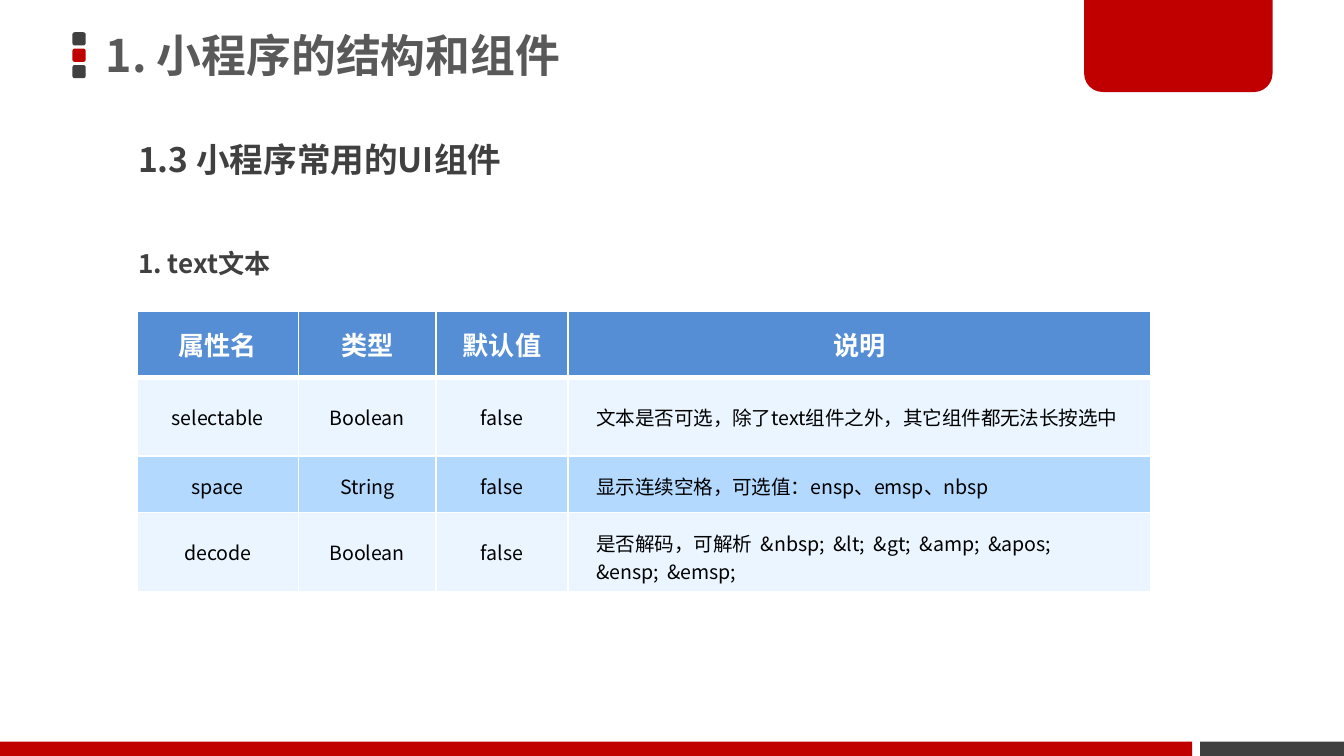
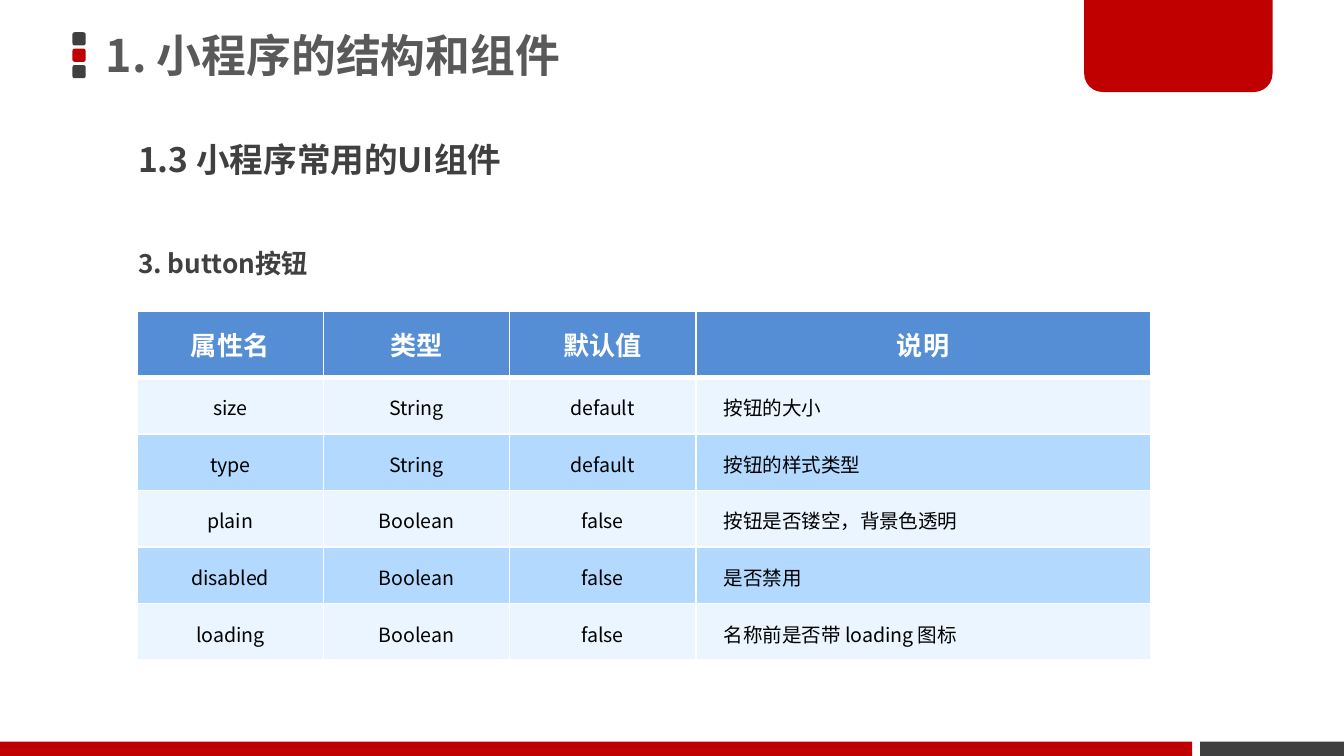
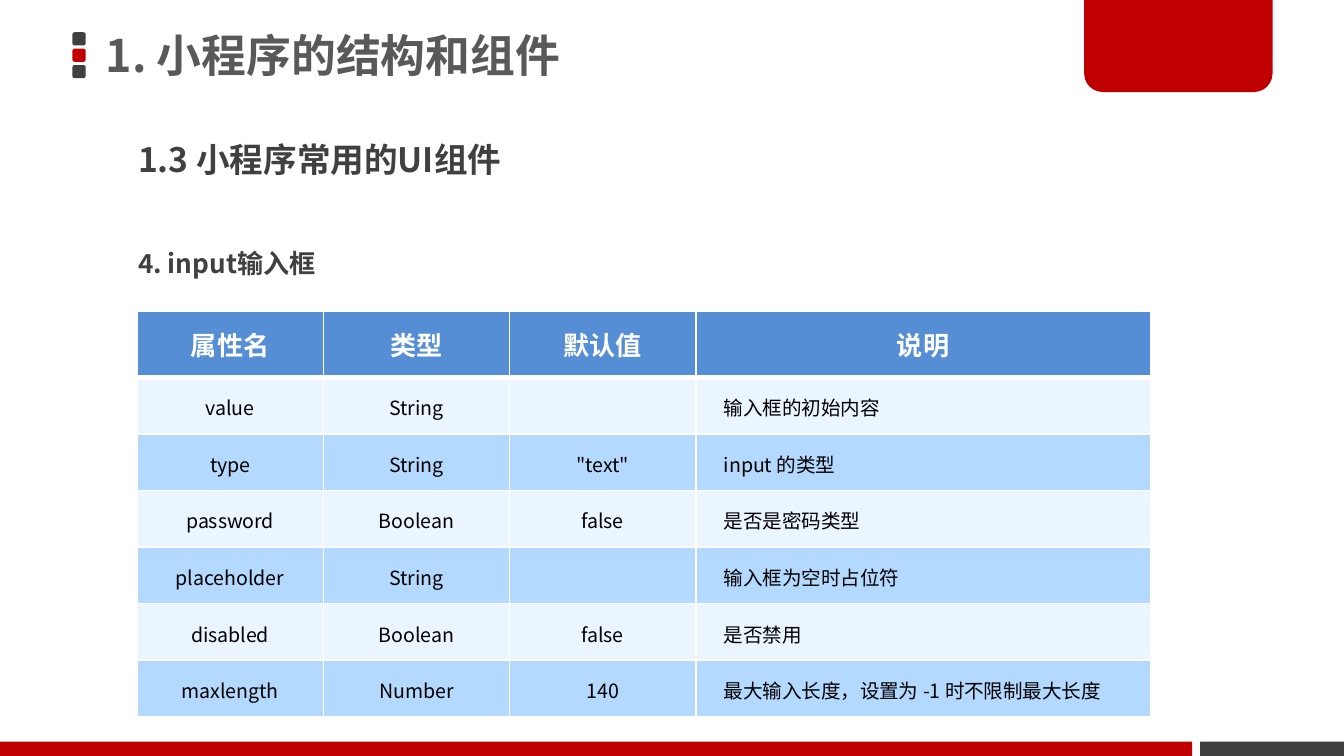
"""Build three slides of attribute tables for common mini-program UI components."""
from lxml import etree
from pptx import Presentation
from pptx import util as u
from pptx.dml.color import RGBColor
from pptx.enum import shapes, text
from pptx.oxml.ns import qn

FONT = "Noto Sans CJK SC"
RED, DARK, TITLE_GREY, WHITE, BLACK = "C00000", "404040", "595959", "FFFFFF", "000000"
HEADER_BLUE, PALE_BLUE, BAND_BLUE = "558ED5", "EBF5FF", "B3D9FF"

TITLE = "1. 小程序的结构和组件"
SECTION = "1.3 小程序常用的UI组件"
HEADERS = ["属性名", "类型", "默认值", "说明"]
EVEN_COLUMNS = [3.52, 3.52, 3.52, 8.59]

COMPONENTS = [
    ("1. text文本", [3.05, 2.6, 2.5, 11], [
        ["selectable", "Boolean", "false", "文本是否可选，除了text组件之外，其它组件都无法长按选中"],
        ["space", "String", "false", "显示连续空格，可选值：ensp、emsp、nbsp"],
        ["decode", "Boolean", "false",
         "是否解码，可解析  &nbsp;  &lt;  &gt;  &amp;  &apos;  &ensp;  &emsp;"],
    ]),
    ("3. button按钮", EVEN_COLUMNS, [
        ["size", "String", "default", "按钮的大小"],
        ["type", "String", "default", "按钮的样式类型"],
        ["plain", "Boolean", "false", "按钮是否镂空，背景色透明"],
        ["disabled", "Boolean", "false", "是否禁用"],
        ["loading", "Boolean", "false", "名称前是否带 loading 图标"],
    ]),
    ("4. input输入框", EVEN_COLUMNS, [
        ["value", "String", "", "输入框的初始内容"],
        ["type", "String", '"text"', "input 的类型"],
        ["password", "Boolean", "false", "是否是密码类型"],
        ["placeholder", "String", "", "输入框为空时占位符"],
        ["disabled", "Boolean", "false", "是否禁用"],
        ["maxlength", "Number", "140", "最大输入长度，设置为 -1 时不限制最大长度"],
    ]),
]

SHAPE = shapes.MSO_SHAPE
DECORATIONS = [
    (SHAPE.ROUNDED_RECTANGLE, 1.37, 0.61, 0.25, 0.25, DARK, [0.17]),
    (SHAPE.ROUNDED_RECTANGLE, 1.37, 0.92, 0.25, 0.25, RED, [0.17]),
    (SHAPE.ROUNDED_RECTANGLE, 1.37, 1.23, 0.25, 0.25, DARK, [0.17]),
    (SHAPE.RECTANGLE, 22.68, 14.02, 2.72, 0.27, DARK, []),
    (SHAPE.ROUND_2_SAME_RECTANGLE, 20.49, 0, 3.56, 1.74, RED, [0, 0.2]),
    (SHAPE.RECTANGLE, 0, 14.02, 22.53, 0.27, RED, []),
]


def colour(value):
    """Turn a hex string into a colour."""
    return RGBColor.from_string(value)


def write(para, words, size, ink, bold):
    """Add one run in the deck's font."""
    span = para.add_run()
    span.text = words
    span.font.size = u.Pt(size)
    span.font.bold = bold
    span.font.color.rgb = colour(ink)
    span.font.name = FONT
    etree.SubElement(span.font._element, qn("a:ea"), typeface=FONT)


deck = Presentation()
deck.slide_width, deck.slide_height = u.Cm(25.4), u.Cm(14.29)

for heading, widths, records in COMPONENTS:
    page = deck.slides.add_slide(deck.slide_layouts[6])

    for kind, left, top, width, height, fill, corners in DECORATIONS:
        shape = page.shapes.add_shape(kind, u.Cm(left), u.Cm(top), u.Cm(width), u.Cm(height))
        shape.shadow.inherit = False
        shape.fill.solid()
        shape.fill.fore_color.rgb = colour(fill)
        shape.line.fill.background()
        for index, corner in enumerate(corners):
            shape.adjustments[index] = corner

    for words, left, top, width, height, size, ink, anchor, space in [
        (TITLE, 1.75, 0, 18.72, 2.21, 24, TITLE_GREY, text.MSO_ANCHOR.MIDDLE, 0),
        (SECTION, 2.36, 2.59, 18.03, 1.5, 18, DARK, text.MSO_ANCHOR.TOP, 7.5),
        (heading, 2.36, 4.62, 18.11, 1, 14, DARK, text.MSO_ANCHOR.TOP, 7.5),
    ]:
        box = page.shapes.add_textbox(u.Cm(left), u.Cm(top), u.Cm(width), u.Cm(height))
        box.text_frame.word_wrap = True
        box.text_frame.vertical_anchor = anchor
        para = box.text_frame.paragraphs[0]
        para.line_spacing = 0.9
        para.space_before = u.Pt(space)
        write(para, words, size, ink, True)

    rows = [HEADERS] + records
    heights = [1.24] + [1.07] * len(records)
    table = page.shapes.add_table(len(rows), len(HEADERS), u.Cm(2.59), u.Cm(5.89),
                                  u.Cm(sum(widths)), u.Cm(sum(heights))).table
    for column, width in zip(table.columns, widths):
        column.width = u.Cm(width)
    for row, height in zip(table.rows, heights):
        row.height = u.Cm(height)

    for r, record in enumerate(rows):
        for c, words in enumerate(record):
            cell = table.cell(r, c)
            for side in "LRTB":
                thick = (r, side) in [(0, "B"), (1, "T")]
                edge = etree.SubElement(cell._tc.get_or_add_tcPr(), qn(f"a:ln{side}"),
                                        w=str(u.Pt(3 if thick else 1)))
                paint = etree.SubElement(edge, qn("a:solidFill"))
                etree.SubElement(paint, qn("a:srgbClr"), val=WHITE)
            cell.fill.solid()
            fill = HEADER_BLUE if r == 0 else PALE_BLUE if r % 2 else BAND_BLUE
            cell.fill.fore_color.rgb = colour(fill)
            if not words:
                continue
            para = cell.text_frame.paragraphs[0]
            if r == 0 or c < 3:
                para.alignment = text.PP_ALIGN.CENTER
            if r == 0:
                para.line_spacing = u.Pt(24)
                write(para, words, 14, WHITE, True)
            else:
                cell.vertical_anchor = text.MSO_ANCHOR.MIDDLE
                cell.margin_left = cell.margin_right = u.Cm(0.53)
                cell.margin_top = cell.margin_bottom = u.Cm(0.3)
                write(para, words, 10.5, BLACK, False)

deck.save("out.pptx")
